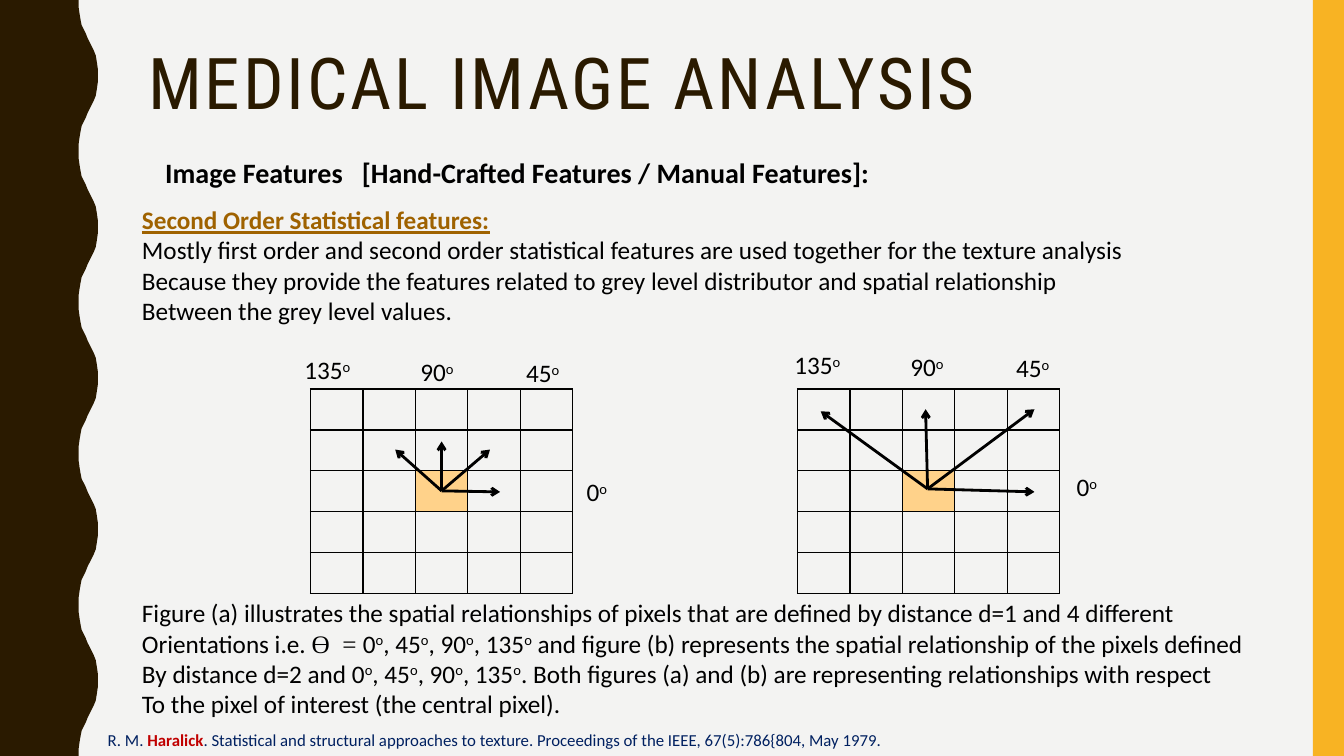
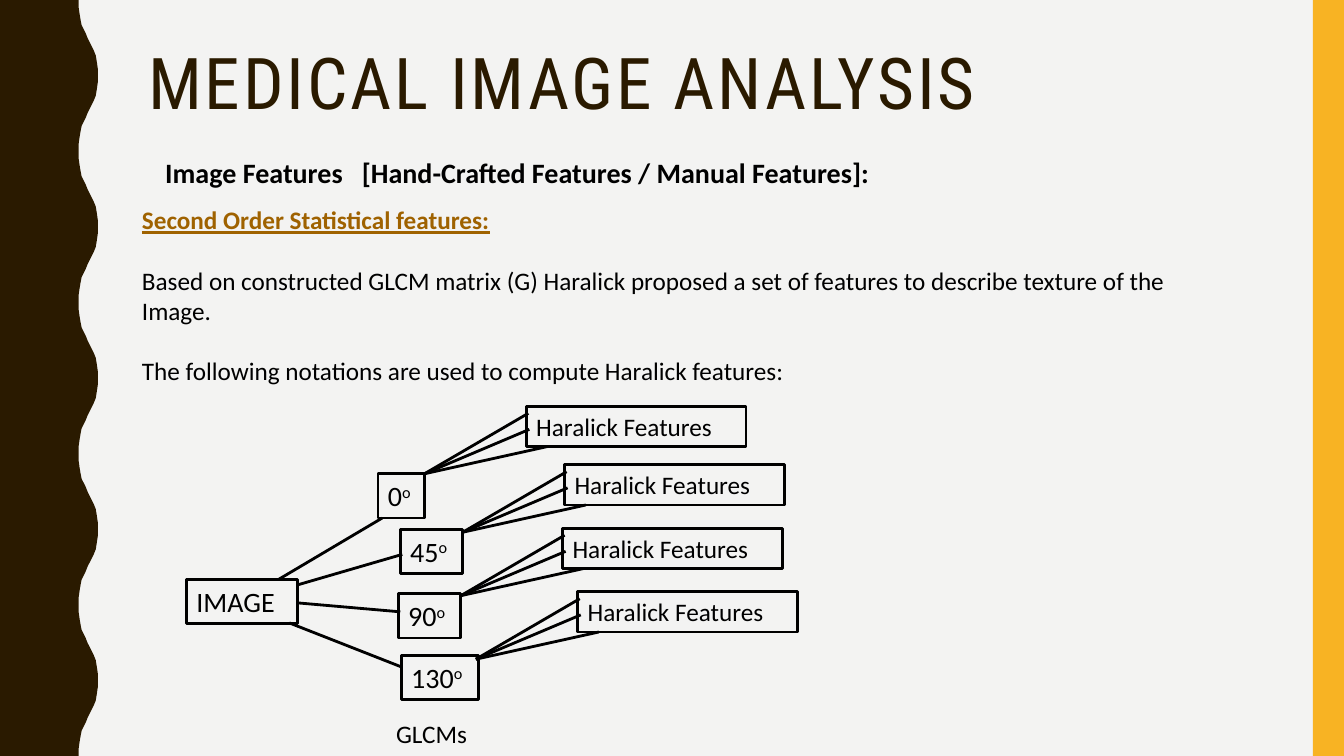
"""Build two slides on second order statistical image features."""
from lxml import etree
from pptx import Presentation
from pptx.dml.color import RGBColor
from pptx.enum.shapes import MSO_CONNECTOR, MSO_SHAPE
from pptx.enum.text import MSO_ANCHOR, PP_ALIGN
from pptx.oxml.ns import qn
from pptx.util import Inches, Pt

STRAIGHT = MSO_CONNECTOR.STRAIGHT
RECTANGLE = MSO_SHAPE.RECTANGLE
TOP = MSO_ANCHOR.TOP
LEFT = PP_ALIGN.LEFT

BROWN, GOLD, PAPER = "2A1A00", "F8B323", "F3F3F2"
BLACK, OCHRE, PEACH = "000000", "9F6200", "FFD28A"
NAVY, RED = "002060", "C00000"

SLIDE_WIDTH, SLIDE_HEIGHT = 13.33, 7.5
WAVE_PERIOD = 1.5
HALF_WAVE = [(0.78, 0), (0.78, 0.07), (0.79, 0.14), (0.8, 0.2), (0.81, 0.25),
             (0.83, 0.29), (0.85, 0.33), (0.87, 0.38), (0.89, 0.42), (0.91, 0.46),
             (0.93, 0.5), (0.95, 0.55), (0.96, 0.61), (0.97, 0.68), (0.97, 0.75)]

TITLE = "MEDICAL IMAGE ANALYSIS"
TITLE_FORMAT = {"name": "Roboto Condensed", "size": Pt(51), "bold": False}
SUBTITLE = "Image Features\t[Hand-Crafted Features / Manual Features]:"
SUBTITLE_FORMAT = {"size": Pt(20), "bold": True}
SUBTITLE_TAB = 1.95
HEADING = ("Second Order Statistical features:",
           {"bold": True, "underline": True, "color": OCHRE})
BODY_LEFT, BODY_TOP, BODY_WIDTH = 1.31, 1.98, 11.6
BLANK_LINE = 21.6

INTRODUCTION = [
    [HEADING],
    ["Mostly first order and second order statistical features are used together for the texture analysis"],
    ["Because they provide the features related to grey level distributor and spatial relationship"],
    ["Between the grey level values."],
]
EXPLANATION = [
    ["Figure (a) illustrates the spatial relationships of pixels that are defined by distance d=1 and 4 different"],
    ["Orientations i.e. ", ("ϴ  = ", {"name": "Times New Roman"}),
     "0^o, 45^o, 90^o, 135^o and figure (b) represents the spatial relationship of the pixels defined"],
    ["By distance d=2 and 0^o, 45^o, 90^o, 135^o. Both figures (a) and (b) are representing relationships with respect"],
    ["To the pixel of interest (the central pixel)."],
]
CITATION = [[
    ("R. M. ", {"color": NAVY}),
    ("Haralick", {"color": RED, "bold": True}),
    (". Statistical and structural approaches to texture. Proceedings of the IEEE, 67(5):786{804, May 1979.",
     {"color": NAVY}),
]]

GRID_SIZE, GRID_WIDTH, GRID_HEIGHT = 5, 2.6, 2.03
PANELS = [
    {"grid": (3.08, 3.86), "labels": (2.92, 3.47), "center": (4.38, 4.87),
     "tips": [(4.96, 4.88), (4.86, 4.46), (4.38, 4.38), (3.92, 4.46)]},
    {"grid": (7.91, 3.86), "labels": (7.78, 3.42), "center": (9.2, 4.85),
     "tips": [(10.26, 4.88), (10.26, 4.06), (9.18, 4.06), (8.14, 4.08)]},
]
ANGLE_LABELS = [("135^o", 0, 0, 0.72), ("90^o", 1.15, 0.02, 0.58),
                ("45^o", 2.2, 0.03, 0.58), ("0^o", 2.8, 1.21, 0.44)]

NOTATION = [
    ([HEADING], 0),
    (["Based on constructed GLCM matrix (G) Haralick proposed a set of features to describe texture of the"],
     BLANK_LINE),
    (["Image."], 0),
    (["The following notations are used to compute Haralick features:"], BLANK_LINE),
]
IMAGE_BOX = ("IMAGE", 1.85, 5.75, 1.1)
GLCM_BRANCHES = [
    {"box": ("0^o", 3.75, 4.7, 0.46), "line": (2.76, 5.75, 3.79, 5.14), "fan": (4.21, 4.7)},
    {"box": ("45^o", 3.97, 5.25, 0.62), "line": (2.96, 5.8, 3.99, 5.5), "fan": (4.59, 5.28)},
    {"box": ("90^o", 3.95, 5.89, 0.62), "line": (2.94, 5.98, 3.97, 6.07), "fan": (4.57, 5.91)},
    {"box": ("130^o", 3.98, 6.5, 0.77), "line": (2.87, 6.18, 3.99, 6.62), "fan": (4.72, 6.54)},
]
FAN_TIPS = [(1.03, -0.6), (1.04, -0.44), (1.22, -0.27)]
FEATURE_OFFSET = (1.01, -0.67)


def rgb(color):
    """Turn a hex string into a colour."""
    return RGBColor.from_string(color)


def add_run(paragraph, text, superscript=False, **format_values):
    """Add one run with the given font values."""
    run = paragraph.add_run()
    run.text = text
    values = {"name": "Calibri", "size": Pt(18), "color": BLACK, **format_values}
    run.font.color.rgb = rgb(values.pop("color"))
    for name, value in values.items():
        setattr(run.font, name, value)
    if superscript:
        run.font._element.set("baseline", "30000")
    return run


def write_pieces(paragraph, pieces, **format_values):
    """Write text pieces, raising each o that follows a caret."""
    for piece in pieces:
        text, own_values = (piece, {}) if isinstance(piece, str) else piece
        values = {**format_values, **own_values}
        for index, part in enumerate(text.split("^o")):
            if index:
                add_run(paragraph, "o", superscript=True, **values)
            if part:
                add_run(paragraph, part, **values)


def add_text(slide, lines, left, top, width, height, wrap=True, outlined=False, **format_values):
    """Add a text box with one paragraph for each line."""
    shape = slide.shapes.add_textbox(*map(Inches, (left, top, width, height)))
    frame = shape.text_frame
    frame.word_wrap = wrap
    for index, pieces in enumerate(lines):
        paragraph = frame.add_paragraph() if index else frame.paragraphs[0]
        paragraph.alignment = LEFT
        write_pieces(paragraph, pieces, **format_values)
    if outlined:
        shape.line.color.rgb = rgb(BLACK)
        shape.line.width = Pt(2)
    return shape


def add_line(slide, start, end, arrow=False):
    """Draw a straight black line, with an arrowhead if wanted."""
    connector = slide.shapes.add_connector(STRAIGHT, *map(Inches, (*start, *end)))
    connector.line.color.rgb = rgb(BLACK)
    connector.line.width = Pt(2)
    if arrow:
        etree.SubElement(connector.line._get_or_add_ln(), qn("a:tailEnd"), type="arrow")
    etree.SubElement(connector.element.spPr, qn("a:effectLst"))


def decorate_layout(layout, slide):
    """Put the background, wavy band and gold band on the layout."""
    layout.background.fill.solid()
    layout.background.fill.fore_color.rgb = rgb(PAPER)
    wave = HALF_WAVE + [(x, WAVE_PERIOD - y) for x, y in reversed(HALF_WAVE[:-1])]
    edge = [(x, y + WAVE_PERIOD * turn)
            for turn in range(round(SLIDE_HEIGHT / WAVE_PERIOD)) for x, y in wave]
    builder = slide.shapes.build_freeform(0, 0)
    builder.add_line_segments([(Inches(x), Inches(y)) for x, y in edge + [(0, SLIDE_HEIGHT)]])
    wavy_band = builder.convert_to_shape()
    gold_band = slide.shapes.add_shape(
        RECTANGLE, Inches(13.02), 0, Inches(0.31), Inches(SLIDE_HEIGHT))
    for band, color in ((wavy_band, BROWN), (gold_band, GOLD)):
        band.shadow.inherit = False
        band.fill.solid()
        band.fill.fore_color.rgb = rgb(color)
        band.line.fill.background()
        layout.shapes.element.insert(2, band.element)


def add_headings(slide):
    """Format the title placeholder and add the subtitle."""
    title = slide.shapes.title
    title.left, title.top, title.width, title.height = map(Inches, (1.37, 0.42, 11.13, 1.63))
    title.text_frame.vertical_anchor = TOP
    title.text_frame.word_wrap = True
    paragraph = title.text_frame.paragraphs[0]
    paragraph.alignment = LEFT
    paragraph.line_spacing = 0.9
    run = add_run(paragraph, TITLE, color=BROWN, **TITLE_FORMAT)
    run.font._element.set("spc", "200")

    subtitle = add_text(slide, [[SUBTITLE]], 1.54, 1.47, 8.78, 0.46, **SUBTITLE_FORMAT)
    paragraph = subtitle.text_frame.paragraphs[0]
    paragraph.line_spacing = 1.07
    tabs = etree.SubElement(paragraph._p.get_or_add_pPr(), qn("a:tabLst"))
    etree.SubElement(tabs, qn("a:tab"), pos=str(Inches(SUBTITLE_TAB)), algn="l")


def format_cell(cell, is_center):
    """Give a cell black borders, and a fill if it is the central pixel."""
    if is_center:
        cell.fill.solid()
        cell.fill.fore_color.rgb = rgb(PEACH)
    else:
        cell.fill.background()
    properties = cell._tc.get_or_add_tcPr()
    for index, side in enumerate(("lnL", "lnR", "lnT", "lnB")):
        border = etree.Element(qn(f"a:{side}"), w=str(Pt(1)))
        fill = etree.SubElement(border, qn("a:solidFill"))
        etree.SubElement(fill, qn("a:srgbClr"), val=BLACK)
        properties.insert(index, border)


def add_pixel_panel(slide, panel):
    """Draw a pixel grid with its angle labels and arrows."""
    table = slide.shapes.add_table(
        GRID_SIZE, GRID_SIZE,
        *map(Inches, (*panel["grid"], GRID_WIDTH, GRID_HEIGHT))).table
    table.first_row = table.horz_banding = False
    middle = GRID_SIZE // 2
    for row in range(GRID_SIZE):
        for column in range(GRID_SIZE):
            format_cell(table.cell(row, column), row == column == middle)
    left, top = panel["labels"]
    for text, across, down, width in ANGLE_LABELS:
        add_text(slide, [[text]], left + across, top + down, width, 0.4, wrap=False)
    for tip in panel["tips"]:
        add_line(slide, panel["center"], tip, arrow=True)


def add_relationships_slide(slide):
    """Fill the slide on spatial relationships of pixels."""
    add_text(slide, INTRODUCTION, BODY_LEFT, BODY_TOP, BODY_WIDTH, 1.3)
    add_text(slide, EXPLANATION, BODY_LEFT, 5.88, BODY_WIDTH, 1.3)
    add_text(slide, CITATION, 0.97, 7.19, 11.25, 0.3, size=Pt(12))
    for panel in PANELS:
        add_pixel_panel(slide, panel)


def add_notation_slide(slide):
    """Fill the slide on computing features from the matrices."""
    body = add_text(slide, [pieces for pieces, _ in NOTATION],
                    BODY_LEFT, BODY_TOP, BODY_WIDTH, 1.95)
    for paragraph, (_, gap) in zip(body.text_frame.paragraphs, NOTATION):
        paragraph.space_before = Pt(gap)
    for text, left, top, width in [IMAGE_BOX] + [branch["box"] for branch in GLCM_BRANCHES]:
        add_text(slide, [[text]], left, top, width, 0.44,
                 wrap=False, outlined=True, size=Pt(20))
    for branch in GLCM_BRANCHES:
        add_line(slide, branch["line"][:2], branch["line"][2:])
        x, y = branch["fan"]
        for across, down in FAN_TIPS:
            add_line(slide, (x, y), (x + across, y + down))
        add_text(slide, [["Haralick Features"]], x + FEATURE_OFFSET[0], y + FEATURE_OFFSET[1],
                 2.18, 0.4, wrap=False, outlined=True)
    add_text(slide, [["GLCMs"]], 3.83, 7.08, 1.06, 0.4, wrap=False)


def main():
    """Build and save the presentation."""
    presentation = Presentation()
    presentation.slide_width = Inches(SLIDE_WIDTH)
    presentation.slide_height = Inches(SLIDE_HEIGHT)
    layout = presentation.slide_layouts.get_by_name("Title Only")
    slides = [presentation.slides.add_slide(layout) for _ in range(2)]
    decorate_layout(layout, slides[0])
    for slide, fill_slide in zip(slides, (add_relationships_slide, add_notation_slide)):
        add_headings(slide)
        fill_slide(slide)
    presentation.save("out.pptx")


if __name__ == "__main__":
    main()
